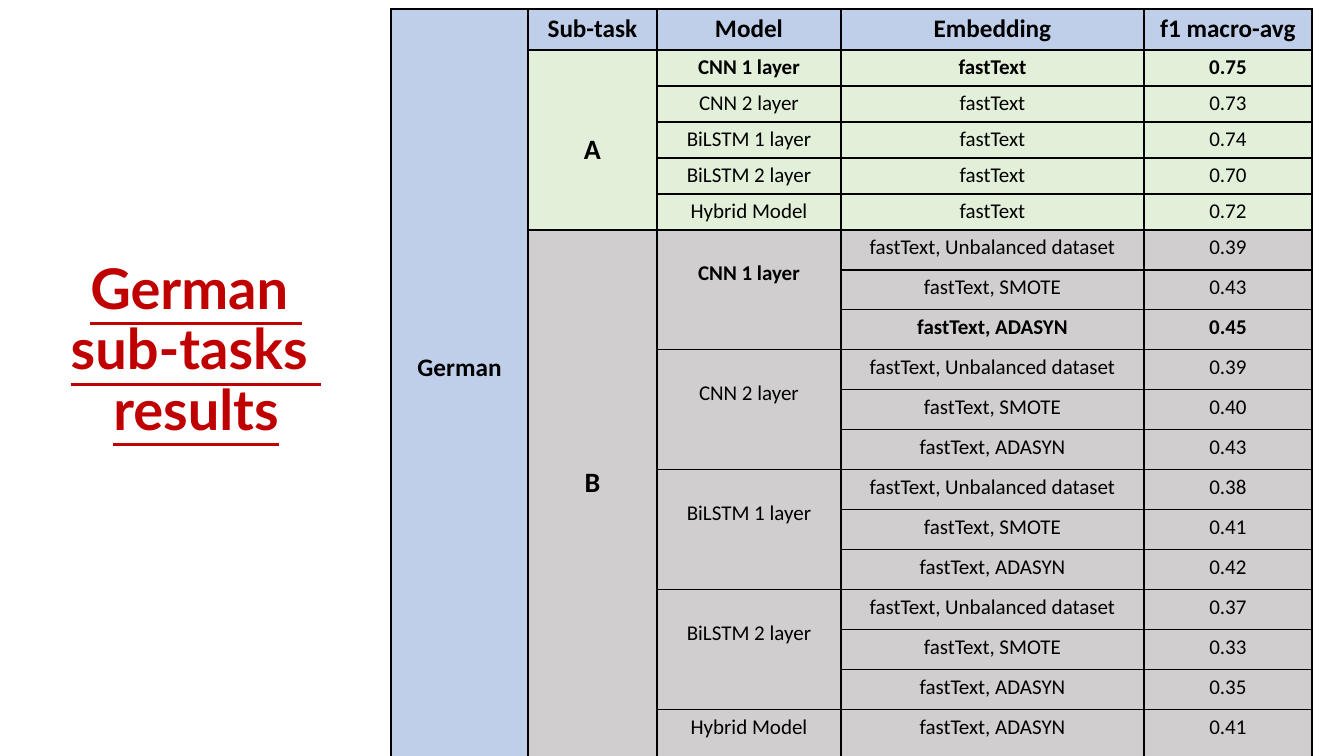
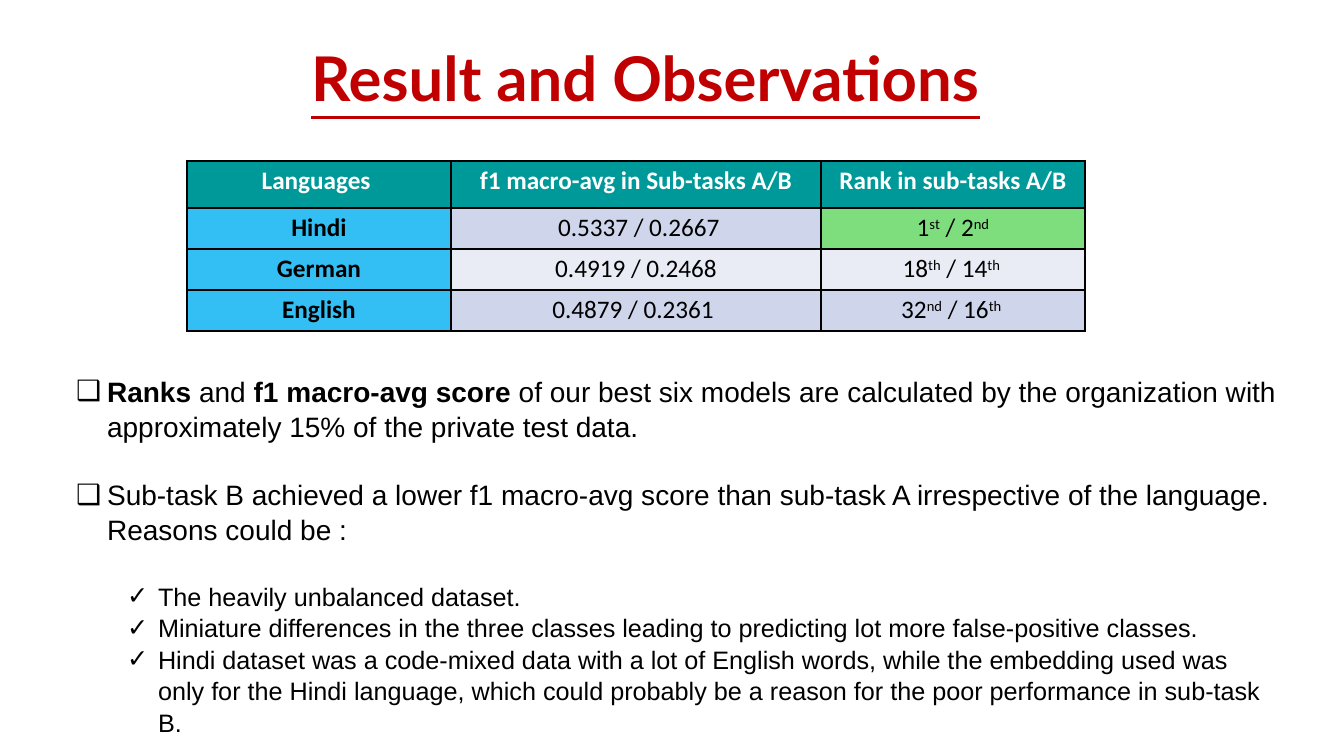
from dataclasses import dataclass

from lxml import etree
from pptx import Presentation
from pptx.dml.color import RGBColor
from pptx.enum.text import MSO_ANCHOR, MSO_AUTO_SIZE, PP_ALIGN
from pptx.oxml.ns import qn
from pptx.util import Emu, Pt

CENTER, LEFT = PP_ALIGN.CENTER, PP_ALIGN.LEFT
TOP = MSO_ANCHOR.TOP
NO_FIT = MSO_AUTO_SIZE.NONE
TITLE_AND_BODY, TITLE_ONLY = 1, 5
PX_PER_INCH = 100.8


@dataclass(frozen=True)
class Theme:
    """Colours, fonts and type sizes shared by the slides."""
    title: str = "C00000"
    ink: str = "000000"
    white: str = "FFFFFF"
    header: tuple = ("B4C7E7", 85)
    task_a: tuple = ("E2F0D9", 100)
    task_b: tuple = ("D0CECE", 100)
    teal: tuple = ("009999", 100)
    language: tuple = ("00B0F0", 80)
    best: tuple = ("33CC33", 63)
    band: tuple = (("CFD5EA", 100), ("E9EBF5", 100))
    title_font: str = "Lato"
    table_font: str = "Calibri"
    body_font: str = "Arial"
    title_small: int = 40
    title_large: int = 44
    letter: int = 20
    heading: int = 18
    cell: int = 15
    body: tuple = (20, 18)


T = Theme()


def px(n):
    """Turn pixels into EMU."""
    return Emu(round(n * 914400 / PX_PER_INCH))


def sub(parent, tag, **attrs):
    """Append a DrawingML child element."""
    el = etree.SubElement(parent, qn(tag))
    for name, value in attrs.items():
        el.set(name, str(value))
    return el


class Deck:
    """Holds the presentation, its style and the current slide."""

    def __init__(self):
        """Start a widescreen presentation."""
        self.prs = Presentation()
        self.prs.slide_width, self.prs.slide_height = px(1344), px(756)
        self.s = None

    def slide(self, layout):
        """Add a slide and make it current."""
        self.s = self.prs.slides.add_slide(self.prs.slide_layouts[layout])

    def run(self, p, text, font, size, color=T.ink, bold=False, raised=False):
        """Add one formatted run."""
        r = p.add_run()
        r.text = text
        r.font.name, r.font.size, r.font.bold = font, Pt(size), bold
        r.font.color.rgb = RGBColor.from_string(color)
        if raised:
            r._r.get_or_add_rPr().set("baseline", "30000")
        return r

    def frame(self, sp, box):
        """Place a placeholder and return its text frame."""
        sp.left, sp.top, sp.width, sp.height = map(px, box)
        tf = sp.text_frame
        tf.word_wrap, tf.auto_size, tf.vertical_anchor = True, NO_FIT, TOP
        return tf

    def title(self, box, lines, size):
        """Fill the underlined red title."""
        p = self.frame(self.s.shapes.title, box).paragraphs[0]
        p.alignment, p.line_spacing = CENTER, 0.9
        for i, line in enumerate(lines):
            if i:
                p.add_line_break()
            r = self.run(p, line, T.title_font, size, T.title, True)
            r.font.underline = True

    def bullets(self, box, items):
        """Fill the body with (level, space before, runs) items."""
        tf = self.frame(self.s.placeholders[1], box)
        for i, (level, gap, runs) in enumerate(items):
            p = tf.add_paragraph() if i else tf.paragraphs[0]
            p.level, p.alignment, p.line_spacing = level, LEFT, 1.04
            p.space_before, p.space_after = Pt(gap), Pt(0)
            pPr = p._p.get_or_add_pPr()
            pPr.set("marL", str(px((31, 82)[level])))
            pPr.set("indent", str(-px(31)))
            sub(pPr, "a:buFont", typeface=T.body_font)
            sub(pPr, "a:buChar", char="❑✓"[level])
            for text, bold in runs:
                self.run(p, text, T.body_font, T.body[level], bold=bold)

    def table(self, x, y, cols, rows):
        """Add a table with thin black borders."""
        shape = self.s.shapes.add_table(len(rows), len(cols), px(x), px(y),
                                        px(sum(cols)), px(sum(rows)))
        tbl = shape.table
        tbl.first_row = tbl.horz_banding = False
        for col, width in zip(tbl.columns, cols):
            col.width = px(width)
        for row, height in zip(tbl.rows, rows):
            row.height = px(height)
        for cell in tbl.iter_cells():
            tcPr = cell._tc.get_or_add_tcPr()
            for side in "LRTB":
                ln = sub(tcPr, f"a:ln{side}", w=Pt(1))
                sub(sub(ln, "a:solidFill"), "a:srgbClr", val=T.ink)
        return tbl

    def cell(self, tbl, row, col, runs, fill, size=T.cell, bold=False,
             color=T.ink, span=1, top=5):
        """Fill a cell; runs alternate between normal and raised text."""
        cell = tbl.cell(row, col)
        if span > 1:
            cell.merge(tbl.cell(row + span - 1, col))
        cell.vertical_anchor, cell.margin_top = TOP, px(top)
        cell.fill.solid()
        cell.fill.fore_color.rgb = RGBColor.from_string(fill[0])
        if fill[1] < 100:
            clr = cell._tc.tcPr.find(qn("a:solidFill"))[0]
            sub(clr, "a:alpha", val=fill[1] * 1000)
        p = cell.text_frame.paragraphs[0]
        p.alignment = CENTER
        for i, text in enumerate(runs):
            self.run(p, text, T.table_font, size, color, bold, i % 2 == 1)


TASK_A = [("CNN 1 layer", "0.75"), ("CNN 2 layer", "0.73"),
          ("BiLSTM 1 layer", "0.74"), ("BiLSTM 2 layer", "0.70"),
          ("Hybrid Model", "0.72")]
SAMPLING = ["fastText, Unbalanced dataset", "fastText, SMOTE",
            "fastText, ADASYN"]
TASK_B = [("CNN 1 layer", ["0.39", "0.43", "0.45"]),
          ("CNN 2 layer", ["0.39", "0.40", "0.43"]),
          ("BiLSTM 1 layer", ["0.38", "0.41", "0.42"]),
          ("BiLSTM 2 layer", ["0.37", "0.33", "0.35"]),
          ("Hybrid Model", ["0.41"])]
RANKS = [("Hindi", " 0.5337 / 0.2667", ["1", "st", " / 2", "nd"]),
         ("German", "0.4919 / 0.2468", ["18", "th", " / 14", "th "]),
         ("English", "0.4879 / 0.2361 ", ["32", "nd", " / 16", "th "])]
OBSERVATIONS = [
    (0, 0, [("Ranks", True), (" and ", False), ("f1 macro-avg score", True),
            (" of our best six models are calculated by the organization "
             "with approximately 15% of the private test data.", False)]),
    (0, 24, [("Sub-task B achieved a lower f1 macro-avg score than sub-task A "
              "irrespective of the language. Reasons could be :", False)]),
    (1, 24, [("The heavily unbalanced dataset.", False)]),
    (1, 0, [("Miniature differences in the three classes leading to "
             "predicting lot more false-positive classes.", False)]),
    (1, 0, [("Hindi dataset was a code-mixed data with a lot of English "
             "words, while the embedding used was only for the Hindi "
             "language, which could probably be a reason for the poor "
             "performance in sub-task B. ", False)]),
]


def german_results(deck):
    """Build the table of German scores by sub-task and model."""
    deck.slide(TITLE_ONLY)
    deck.title((0, 256, 392, 220), ["German ", "sub-tasks ", "results"],
               T.title_small)
    tbl = deck.table(391, 9, [137, 129, 184, 303, 168],
                     [41] + [36] * 5 + [40] * 12 + [46])
    deck.cell(tbl, 0, 0, ["German"], T.header, T.heading, True,
              span=19, top=343)
    heads = ["Sub-task", "Model", "Embedding", "f1 macro-avg"]
    for col, head in enumerate(heads, 1):
        deck.cell(tbl, 0, col, [head], T.header, T.heading, True)

    deck.cell(tbl, 1, 1, ["A"], T.task_a, T.letter, True, span=5, top=83)
    for row, (model, score) in enumerate(TASK_A, 1):
        for col, text in enumerate([model, "fastText", score], 2):
            deck.cell(tbl, row, col, [text], T.task_a, bold=row == 1)

    row = 6
    deck.cell(tbl, row, 1, ["B"], T.task_b, T.letter, True, span=13, top=236)
    for model, scores in TASK_B:
        n = len(scores)
        deck.cell(tbl, row, 2, [model], T.task_b, bold=row == 6,
                  span=n, top=31 if n > 1 else 5)
        for embedding, score in zip(SAMPLING[-n:], scores):
            for col, text in enumerate([embedding, score], 3):
                deck.cell(tbl, row, col, [text], T.task_b,
                          bold=score == "0.45")
            row += 1


def observations(deck):
    """Build the ranking table and the list of observations."""
    deck.slide(TITLE_AND_BODY)
    deck.title((66, 43, 1159, 100), ["Result and Observations"],
               T.title_large)
    tbl = deck.table(187, 161, [264, 370, 264], [47, 41, 41, 41])
    heads = ["Languages ", "f1 macro-avg in Sub-tasks A/B",
             "Rank in sub-tasks A/B"]
    for col, head in enumerate(heads):
        deck.cell(tbl, 0, col, [head], T.teal, T.heading, True, T.white)
    for row, (language, scores, rank) in enumerate(RANKS, 1):
        band = T.band[(row - 1) % 2]
        deck.cell(tbl, row, 0, [language], T.language, T.heading, True)
        deck.cell(tbl, row, 1, [scores], band, T.heading)
        deck.cell(tbl, row, 2, rank, T.best if row == 1 else band, T.heading)
    deck.bullets((66, 368, 1225, 336), OBSERVATIONS)


def main():
    """Build both slides and save them."""
    deck = Deck()
    german_results(deck)
    observations(deck)
    deck.prs.save("out.pptx")


main()
